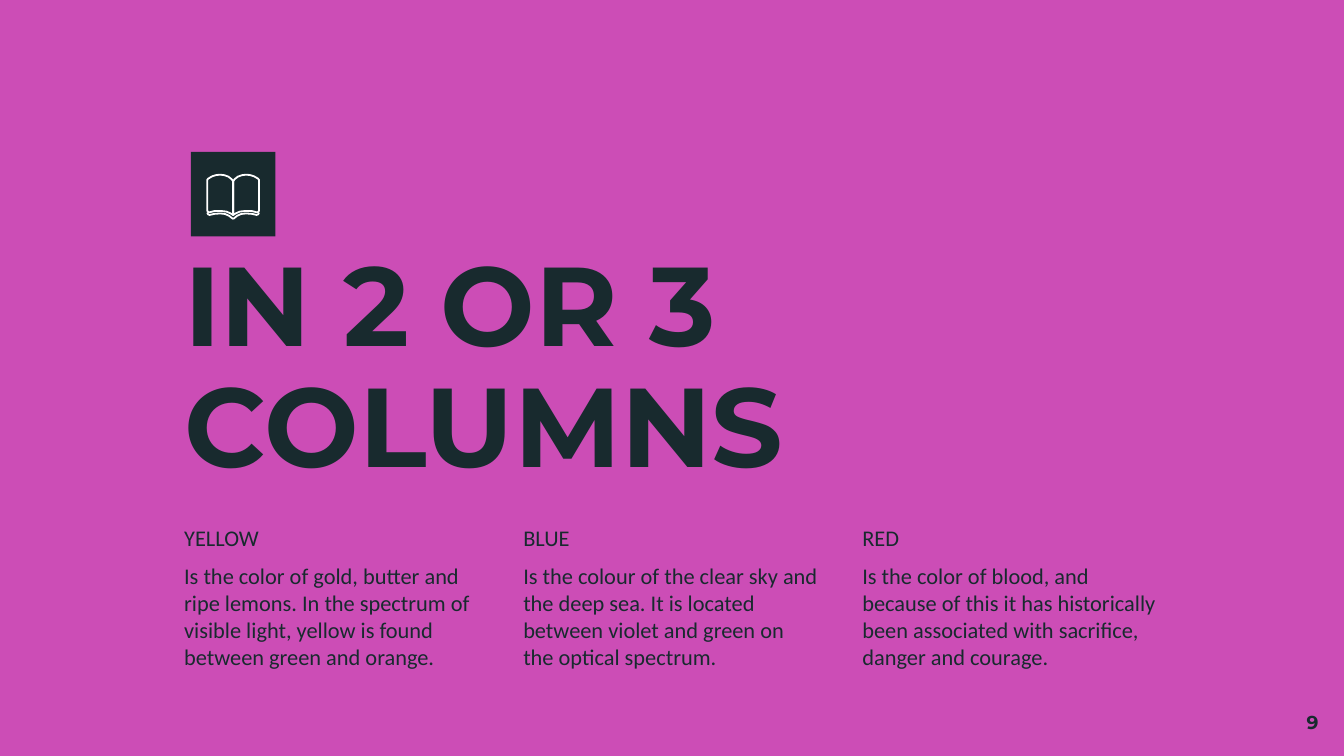
from pptx import Presentation
from pptx.dml.color import RGBColor
from pptx.enum.shapes import MSO_SHAPE
from pptx.enum.text import MSO_ANCHOR, MSO_AUTO_SIZE, PP_ALIGN
from pptx.oxml.ns import qn
from pptx.util import Inches, Pt

RECTANGLE = MSO_SHAPE.RECTANGLE
TOP = MSO_ANCHOR.TOP
NO_AUTOFIT = MSO_AUTO_SIZE.NONE
LEFT, RIGHT = PP_ALIGN.LEFT, PP_ALIGN.RIGHT

COLORS = {"background": "CC4DB6", "ink": "182A2E", "icon": "FFFFFF"}
HEADING_FONT, BODY_FONT = "Montserrat", "Calibri"
COMPARISON_LAYOUT = 4

COLUMNS = [
    ("YELLOW", "Is the color of gold, butter and ripe lemons. In the spectrum of "
               "visible light, yellow is found between green and orange."),
    ("BLUE", "Is the colour of the clear sky and the deep sea. It is located "
             "between violet and green on the optical spectrum."),
    ("RED", "Is the color of blood, and because of this it has historically "
            "been associated with sacrifice, danger and courage."),
]

# Book half: hundredths of an inch (away from the spine, below the tile top)
PAGE = [(0, 22), (0, 47), (2, 45.8), (5, 44.5), (9.5, 44), (14, 44.1),
        (17.5, 45), (18.6, 44.8), (19.3, 43.8), (19.3, 21), (18.6, 20),
        (15.5, 18.2), (12.5, 17.3), (9.5, 17), (6.5, 17.4), (3.5, 18.5),
        (1, 20.5)]
COVER = [(19.3, 45.2), (18.6, 46.6), (17.5, 47), (14, 46.2), (9.5, 45.9),
         (6, 46.3), (3, 47.6), (0, 50)]


def color(name):
    return RGBColor.from_string(COLORS[name])


def place(shape, box):
    shape.left, shape.top, shape.width, shape.height = map(Inches, box)


def prepare_frame(shape):
    frame = shape.text_frame
    frame.word_wrap = True
    frame.auto_size = NO_AUTOFIT
    frame.vertical_anchor = TOP
    frame.margin_left = frame.margin_right = Inches(0.1)
    frame.margin_top = frame.margin_bottom = Inches(0.1)
    return frame


def add_text(paragraph, text, size, font, bold=False, align=LEFT):
    paragraph.alignment = align
    run = paragraph.add_run()
    run.text = text
    run.font.size = Pt(size)
    run.font.name = font
    run.font.bold = bold
    run.font.color.rgb = color("ink")


def add_book_icon(slide, box):
    left, top, width, _ = box
    tile = slide.shapes.add_shape(RECTANGLE, *map(Inches, box))
    tile.shadow.inherit = False
    tile.fill.solid()
    tile.fill.fore_color.rgb = color("ink")
    tile.line.fill.background()

    spine = left + width / 2
    for outline, closed in ((COVER, False), (PAGE, True)):
        for side in (-1, 1):
            points = [(Inches(spine + side * x / 100), Inches(top + y / 100))
                      for x, y in outline]
            builder = slide.shapes.build_freeform(*points[0])
            builder.add_line_segments(points[1:], close=closed)
            half = builder.convert_to_shape()
            half.shadow.inherit = False
            half.fill.background()
            half.line.color.rgb = color("icon")
            half.line.width = Pt(0.96)


def fill_title(title, box):
    place(title, box)
    paragraph = prepare_frame(title).paragraphs[0]
    paragraph.line_spacing = 0.9
    add_text(paragraph, "IN 2 OR 3 COLUMNS", 60, HEADING_FONT, bold=True)


def fill_column(body, box, heading, description):
    place(body, box)
    frame = prepare_frame(body)
    for index, text in enumerate((heading, description)):
        paragraph = frame.add_paragraph() if index else frame.paragraphs[0]
        properties = paragraph._p.get_or_add_pPr()
        properties.set("marL", "0")
        properties.set("indent", "0")
        properties.append(properties.makeelement(qn("a:buNone"), {}))
        paragraph.space_before = Pt(6 * index)
        add_text(paragraph, text, 12, BODY_FONT)


def fill_columns(bodies, box):
    left, top, width, height = box
    gap = 0.12
    column_width = (width - gap * (len(COLUMNS) - 1)) / len(COLUMNS)
    for index, (body, texts) in enumerate(zip(bodies, COLUMNS)):
        column_left = left + index * (column_width + gap)
        fill_column(body, (column_left, top, column_width, height), *texts)


def add_page_number(slide, box):
    text_box = slide.shapes.add_textbox(*map(Inches, box))
    paragraph = prepare_frame(text_box).paragraphs[0]
    add_text(paragraph, "9", 10, HEADING_FONT, bold=True, align=RIGHT)


def build_columns_slide(presentation):
    slide = presentation.slides.add_slide(
        presentation.slide_layouts[COMPARISON_LAYOUT])
    slide.background.fill.solid()
    slide.background.fill.fore_color.rgb = color("background")

    # Three of the layout's four bodies are used
    title, *bodies = list(slide.placeholders)
    spare = bodies.pop()
    spare._element.getparent().remove(spare._element)

    add_book_icon(slide, (1.42, 1.13, 0.63, 0.63))
    fill_title(title, (1.27, 1.76, 7.45, 2.11))
    fill_columns(bodies, (1.27, 3.8, 7.45, 1.58))
    add_page_number(slide, (9.31, 5.19, 0.6, 0.43))


def main():
    presentation = Presentation()
    # Widescreen, 16:9
    presentation.slide_width = Inches(10)
    presentation.slide_height = Inches(10) * 9 // 16
    build_columns_slide(presentation)
    presentation.save("out.pptx")


if __name__ == "__main__":
    main()
